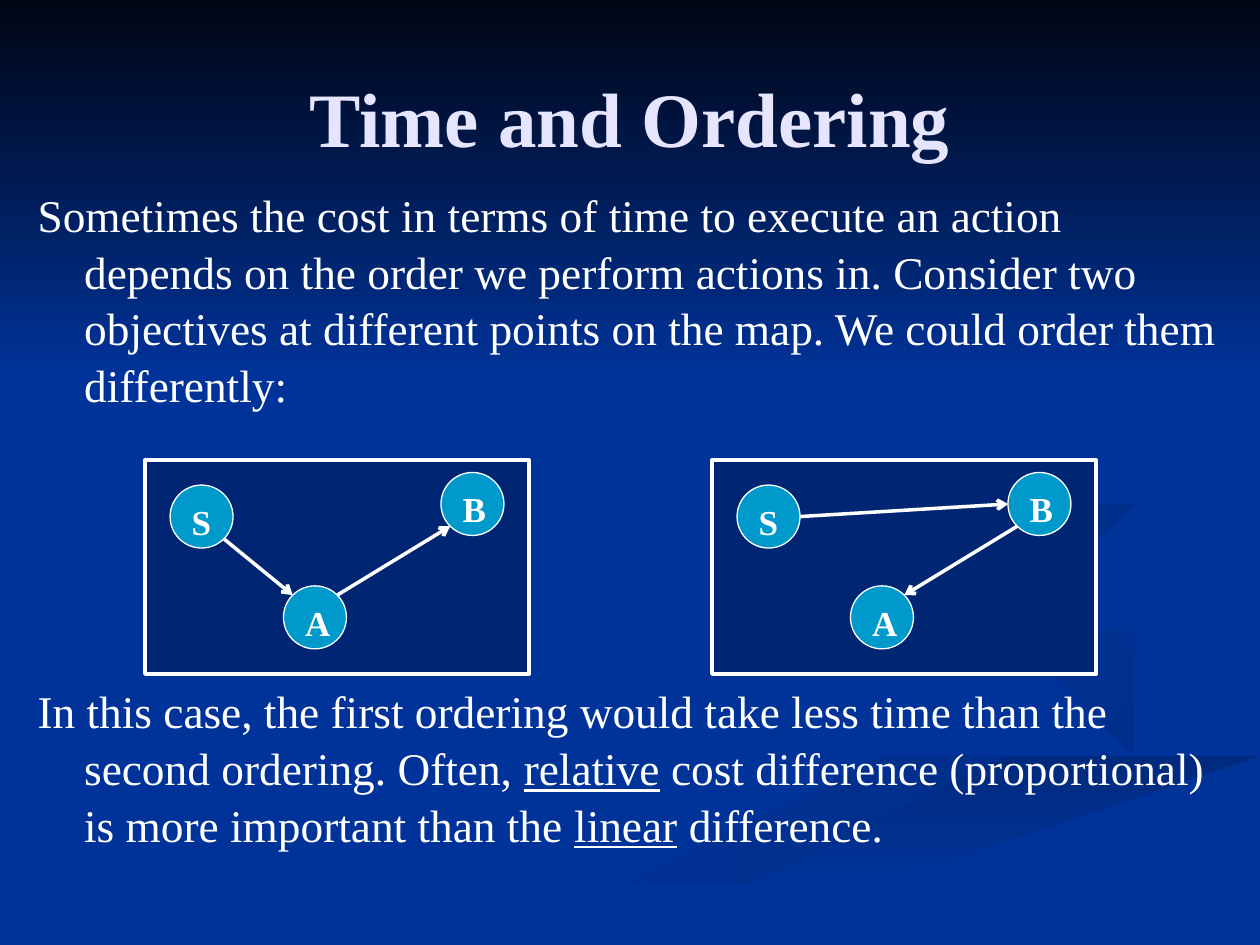
from math import sqrt

from pptx import Presentation
from pptx.dml.color import RGBColor
from pptx.enum.shapes import MSO_CONNECTOR, MSO_SHAPE
from pptx.enum.text import MSO_ANCHOR, PP_ALIGN
from pptx.oxml.ns import qn
from pptx.util import Inches, Pt
from lxml.etree import SubElement

FONT = "Times New Roman"
BLUE, NAVY, TEAL, WHITE, LILAC = "003399", "002673", "0099CC", "FFFFFF", "E5E5FF"
NODE_SIZE = 0.5
MAP_SIZE = (3.05, 1.7)
MAP_TOP = 3.65
# Top left corner of each node within its map
NODES = {"A": (1.1, 1.0), "B": (2.35, 0.1), "S": (0.2, 0.2)}
# Directions from a node's centre to its rim
DIAG = 1 / sqrt(2)
RIGHT, LEFT = (1, 0), (-1, 0)
UPPER_LEFT, UPPER_RIGHT = (-DIAG, -DIAG), (DIAG, -DIAG)
LOWER_LEFT, LOWER_RIGHT = (-DIAG, DIAG), (DIAG, DIAG)

# Background ribbons: start colour, end colour, clockwise angle, outline
RIBBONS = [
    ("002E8B", BLUE, 180, [
        (7.81, 5.56), (7.8, 5.79), (6.84, 6.13), (4.58, 6.74), (3, 7.49),
        (3.61, 7.49), (5.64, 6.65), (7.8, 6.05), (8, 5.81)]),
    ("002E8B", BLUE, 225, [
        (9.43, 5.7), (9.05, 5.4), (7.58, 4.98), (7.24, 4.64), (7.55, 5.05),
        (9, 5.57), (9.18, 5.81), (8.94, 6.05), (9.37, 5.86)]),
    ("002A7D", BLUE, 90, [
        (5.03, 7.49), (5.71, 7.49), (7.22, 6.82), (9.98, 6.09), (9.98, 5.81),
        (7.64, 6.47), (6.3, 6.93)]),
    (BLUE, "002D86", 225, [
        (7.81, 4.6), (8.26, 4.96), (8.05, 4.76), (8.59, 4.43), (9.98, 4.2),
        (9.98, 4.02), (8.35, 4.3)]),
    (BLUE, "002B82", 225, [
        (6.83, 4.3), (8.55, 3.91), (8.94, 3.44), (8.64, 2.91), (7.62, 2.33),
        (8.7, 2.99), (8.89, 3.35), (8.61, 3.7), (6.25, 4.26), (5.77, 4.62),
        (6.22, 5), (5.93, 4.7)]),
    # Dark band that fades down from the top edge
    ("000514", BLUE, 90, [(0, 0), (0, 3.08), (10, 3.08), (10, 0)]),
]


def color(hex_code):
    return RGBColor.from_string(hex_code)


def add_ribbon(slide, start, end, angle, outline):
    builder = slide.shapes.build_freeform(*outline[0], scale=Inches(1))
    builder.add_line_segments(outline[1:], close=True)
    ribbon = builder.convert_to_shape()
    ribbon.shadow.inherit = False
    ribbon.line.fill.background()
    ribbon.fill.gradient()
    ribbon.fill.gradient_angle = 360 - angle
    for stop, hex_code in zip(ribbon.fill.gradient_stops, (start, end)):
        stop.color.rgb = color(hex_code)


def add_run(paragraph, text, size, hex_code, bold=False, underline=False):
    run = paragraph.add_run()
    run.text = text
    run.font.name = FONT
    run.font.size = Pt(size)
    run.font.bold = bold
    run.font.underline = underline
    run.font.color.rgb = color(hex_code)


def add_text_box(slide, left, top, width, height):
    frame = slide.shapes.add_textbox(
        Inches(left), Inches(top), Inches(width), Inches(height)).text_frame
    frame.word_wrap = True
    return frame


def add_title(slide, text):
    frame = add_text_box(slide, 0.5, 0.3, 9, 1.25)
    frame.vertical_anchor = MSO_ANCHOR.MIDDLE
    frame.paragraphs[0].alignment = PP_ALIGN.CENTER
    add_run(frame.paragraphs[0], text, 44, LILAC, bold=True)


def add_body(slide, top, height, runs):
    """Add a hanging paragraph; runs are (text, underlined) pairs."""
    paragraph = add_text_box(slide, 0.2, top, 9.6, height).paragraphs[0]
    paragraph.line_spacing = 1.04
    properties = paragraph._p.get_or_add_pPr()
    properties.set("marL", str(Inches(0.37)))
    properties.set("indent", str(Inches(-0.37)))
    for text, underlined in runs:
        add_run(paragraph, text, 25.9, WHITE, underline=underlined)


def add_outlined(slide, preset, left, top, width, height, fill, line_width):
    shape = slide.shapes.add_shape(
        preset, Inches(left), Inches(top), Inches(width), Inches(height))
    shape.shadow.inherit = False
    shape.fill.solid()
    shape.fill.fore_color.rgb = color(fill)
    shape.line.color.rgb = color(WHITE)
    shape.line.width = Pt(line_width)
    return shape


def add_node(slide, letter, left, top):
    node = add_outlined(slide, MSO_SHAPE.OVAL, left, top, NODE_SIZE, NODE_SIZE, TEAL, 0.75)
    node.text_frame.vertical_anchor = MSO_ANCHOR.TOP
    node.text_frame.paragraphs[0].alignment = PP_ALIGN.LEFT
    add_run(node.text_frame.paragraphs[0], letter, 20, WHITE, bold=True)


def add_arrow(slide, start, end):
    arrow = slide.shapes.add_connector(
        MSO_CONNECTOR.STRAIGHT, *(Inches(value) for value in (*start, *end)))
    arrow.line.color.rgb = color(WHITE)
    arrow.line.width = Pt(2)
    SubElement(arrow.line._get_or_add_ln(), qn("a:tailEnd"), type="arrow")
    SubElement(arrow._element.spPr, qn("a:effectLst"))


def add_map(slide, left, steps):
    """Draw one ordering; a step is (from node, side, to node, side)."""
    add_outlined(slide, MSO_SHAPE.RECTANGLE, left, MAP_TOP, *MAP_SIZE, NAVY, 2)
    for letter, (x, y) in NODES.items():
        add_node(slide, letter, left + x, MAP_TOP + y)

    def rim(letter, side):
        x, y = NODES[letter]
        radius = NODE_SIZE / 2
        return left + x + radius * (1 + side[0]), MAP_TOP + y + radius * (1 + side[1])

    for origin, origin_side, target, target_side in steps:
        add_arrow(slide, rim(origin, origin_side), rim(target, target_side))


def main():
    deck = Presentation()
    deck.slide_width, deck.slide_height = Inches(10), Inches(7.5)
    slide = deck.slides.add_slide(deck.slide_layouts[6])

    # Background
    slide.background.fill.solid()
    slide.background.fill.fore_color.rgb = color(BLUE)
    for ribbon in RIBBONS:
        add_ribbon(slide, *ribbon)

    # Text
    add_title(slide, "Time and Ordering")
    add_body(slide, 1.42, 2, [
        ("Sometimes the cost in terms of time to execute an action depends on the order "
         "we perform actions in. Consider two objectives at different points on the map. "
         "We could order them differently:", False)])
    add_body(slide, 5.36, 1.5, [
        ("In this case, the first ordering would take less time than the second ordering. "
         "Often, ", False),
        ("relative", True),
        (" cost difference (proportional) is more important than the ", False),
        ("linear", True),
        (" difference.", False)])

    # The two orderings
    add_map(slide, 1.15, [("S", LOWER_RIGHT, "A", UPPER_LEFT),
                          ("A", UPPER_RIGHT, "B", LOWER_LEFT)])
    add_map(slide, 5.65, [("S", RIGHT, "B", LEFT),
                          ("B", LOWER_LEFT, "A", UPPER_RIGHT)])

    deck.save("out.pptx")


if __name__ == "__main__":
    main()
